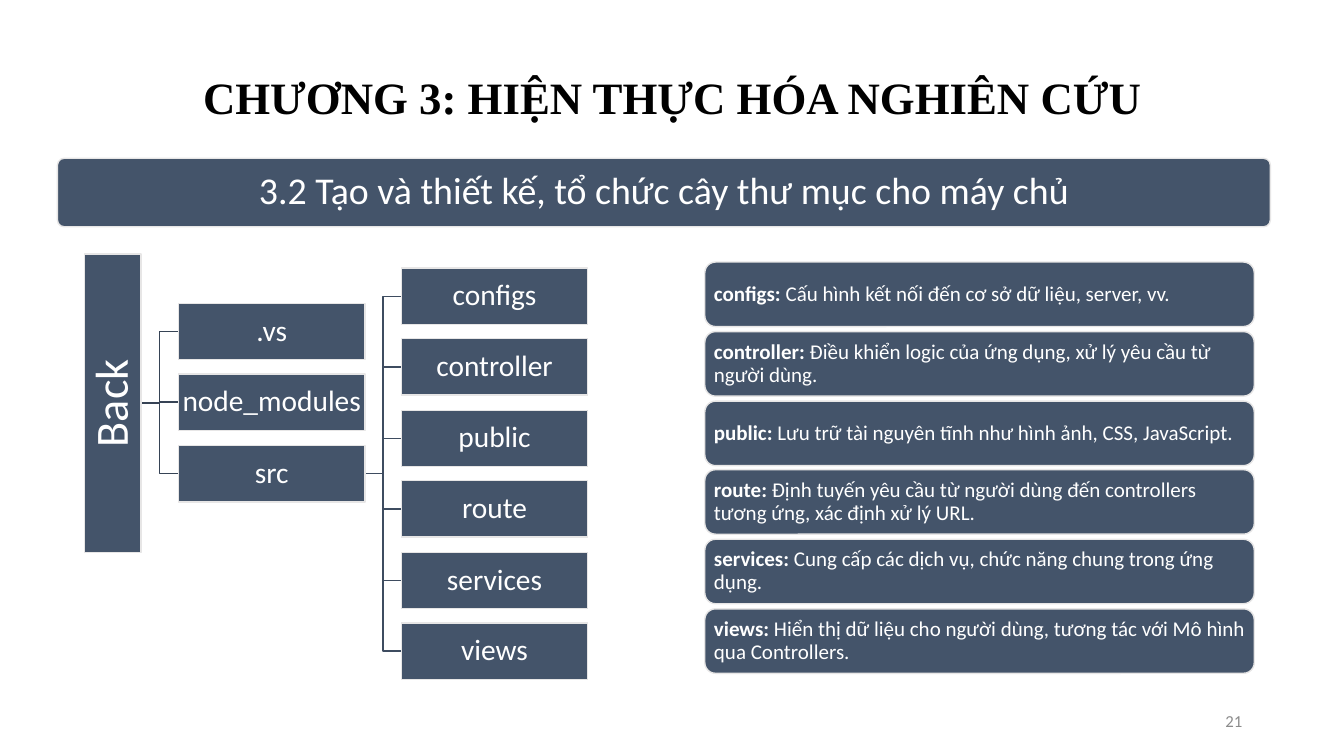
from dataclasses import dataclass

from lxml.etree import SubElement
from pptx import Presentation
from pptx.dml.color import RGBColor
from pptx.enum.shapes import MSO_CONNECTOR, MSO_SHAPE
from pptx.enum.text import MSO_ANCHOR, PP_ALIGN
from pptx.oxml.ns import qn
from pptx.shapes.autoshape import Shape
from pptx.slide import Slide
from pptx.util import Emu, Pt

PX = 9144  # EMU per px, 100 px to the inch


@dataclass(frozen=True)
class Theme:
    panel: str = "44546A"
    outline: str = "E7E6E6"
    root_line: str = "364355"
    source_line: str = "3E4C60"
    title: str = "000000"
    on_panel: str = "FFFFFF"
    page_number: str = "8C8C8C"
    title_font: str = "Times New Roman"
    body_font: str = "Calibri"
    title_size: int = 32
    heading_size: int = 27
    root_size: int = 33
    folder_size: int = 21
    note_size: int = 15
    number_size: int = 12


THEME = Theme()


@dataclass(frozen=True)
class Area:
    left: int
    top: int
    width: int
    height: int

    @property
    def middle(self) -> int:
        return self.top + self.height // 2

    @property
    def right(self) -> int:
        return self.left + self.width

    def emu(self) -> list[Emu]:
        return [Emu(px * PX) for px in (self.left, self.top, self.width, self.height)]


@dataclass(frozen=True)
class TextStyle:
    size: int
    color: str = THEME.on_panel
    font: str = THEME.body_font
    bold: bool | None = None
    align: PP_ALIGN = PP_ALIGN.CENTER
    anchor: MSO_ANCHOR = MSO_ANCHOR.MIDDLE
    inset: int | None = None
    line_spacing: float = 0.9


@dataclass(frozen=True)
class Note:
    folder: str
    purpose: str


NOTES = [
    Note("configs", "Cấu hình kết nối đến cơ sở dữ liệu, server, vv."),
    Note("controller", "Điều khiển logic của ứng dụng, xử lý yêu cầu từ người dùng."),
    Note("public", "Lưu trữ tài nguyên tĩnh như hình ảnh, CSS, JavaScript."),
    Note("route", "Định tuyến yêu cầu từ người dùng đến controllers tương ứng, xác định xử lý URL."),
    Note("services", "Cung cấp các dịch vụ, chức năng chung trong ứng dụng."),
    Note("views", "Hiển thị dữ liệu cho người dùng, tương tác với Mô hình qua Controllers."),
]
TOP_FOLDERS = [".vs", "node_modules", "src"]

FOLDER_STYLE = TextStyle(THEME.folder_size, inset=1)
NOTE_STYLE = TextStyle(THEME.note_size, align=PP_ALIGN.LEFT, inset=6)


def stack(first: Area, last_top: int, count: int) -> list[Area]:
    """Areas of one size, evenly spaced from the first down to last_top."""
    step = (last_top - first.top) / (count - 1)
    return [Area(first.left, first.top + round(row * step), first.width, first.height)
            for row in range(count)]


def write(box: Shape, text: str, style: TextStyle, lead: str = "") -> None:
    frame = box.text_frame
    frame.word_wrap = True
    frame.vertical_anchor = style.anchor
    if style.inset is not None:
        inset = Emu(style.inset * PX)
        frame.margin_left = frame.margin_right = inset
        frame.margin_top = frame.margin_bottom = inset
    para = frame.paragraphs[0]
    para.alignment = style.align
    para.line_spacing = style.line_spacing
    para.font.size = Pt(style.size)
    para.font.name = style.font
    para.font.bold = style.bold
    para.font.color.rgb = RGBColor.from_string(style.color)
    if lead:
        span = para.add_run()
        span.text = lead
        span.font.bold = True
    para.add_run().text = text


def add_label(page: Slide, area: Area, text: str, style: TextStyle) -> None:
    write(page.shapes.add_textbox(*area.emu()), text, style)


def add_panel(page: Slide, area: Area, text: str, style: TextStyle, lead: str = "",
              kind: MSO_SHAPE = MSO_SHAPE.RECTANGLE) -> Shape:
    box = page.shapes.add_shape(kind, *area.emu())
    box.shadow.inherit = False
    box.fill.solid()
    box.fill.fore_color.rgb = RGBColor.from_string(THEME.panel)
    box.line.color.rgb = RGBColor.from_string(THEME.outline)
    box.line.width = Pt(1)
    write(box, text, style, lead)
    return box


def add_branch(page: Slide, parent: Area, child: Area, color: str) -> None:
    level = parent.middle == child.middle
    kind = MSO_CONNECTOR.STRAIGHT if level else MSO_CONNECTOR.ELBOW
    ends = (parent.right, parent.middle, child.left, child.middle)
    branch = page.shapes.add_connector(kind, *(Emu(px * PX) for px in ends))
    branch.line.color.rgb = RGBColor.from_string(color)
    branch.line.width = Pt(1)
    SubElement(branch.element.spPr, qn("a:effectLst"))


def add_tree(page: Slide) -> None:
    root = Area(84, 252, 56, 296)
    top_areas = stack(Area(177, 301, 185, 56), 442, len(TOP_FOLDERS))
    source_areas = stack(Area(398, 266, 185, 56), 618, len(NOTES))

    # Branches lie behind the folders
    for area in source_areas:
        add_branch(page, top_areas[-1], area, THEME.source_line)
    for area in top_areas:
        add_branch(page, root, area, THEME.root_line)

    # The root reads upwards: a wide box turned about its centre
    turn = (root.height - root.width) // 2
    lying = Area(root.left - turn, root.top + turn, root.height, root.width)
    add_panel(page, lying, "Back", TextStyle(THEME.root_size, inset=2)).rotation = 270

    names = TOP_FOLDERS + [note.folder for note in NOTES]
    for area, name in zip(top_areas + source_areas, names):
        add_panel(page, area, name, FOLDER_STYLE)


def main() -> None:
    deck = Presentation()
    deck.slide_width, deck.slide_height = Emu(1333 * PX), Emu(750 * PX)
    page = deck.slides.add_slide(deck.slide_layouts[6])

    # Title and section heading
    add_label(page, Area(167, 76, 1000, 52), "CHƯƠNG 3: HIỆN THỰC HÓA NGHIÊN CỨU",
              TextStyle(THEME.title_size, THEME.title, THEME.title_font, bold=True,
                        anchor=MSO_ANCHOR.BOTTOM))
    heading = add_panel(page, Area(57, 157, 1203, 68),
                        "3.2 Tạo và thiết kế, tổ chức cây thư mục cho máy chủ",
                        TextStyle(THEME.heading_size, inset=11),
                        kind=MSO_SHAPE.ROUNDED_RECTANGLE)
    heading.adjustments[0] = 0.1

    # Folder tree
    add_tree(page)

    # Purpose of each source folder
    for area, note in zip(stack(Area(699, 260, 545, 64), 604, len(NOTES)), NOTES):
        add_panel(page, area, f" {note.purpose}", NOTE_STYLE, f"{note.folder}:",
                  MSO_SHAPE.ROUNDED_RECTANGLE)

    # Page number
    add_label(page, Area(942, 695, 300, 40), "21",
              TextStyle(THEME.number_size, THEME.page_number, align=PP_ALIGN.RIGHT,
                        line_spacing=1.0))
    deck.save("out.pptx")


if __name__ == "__main__":
    main()
